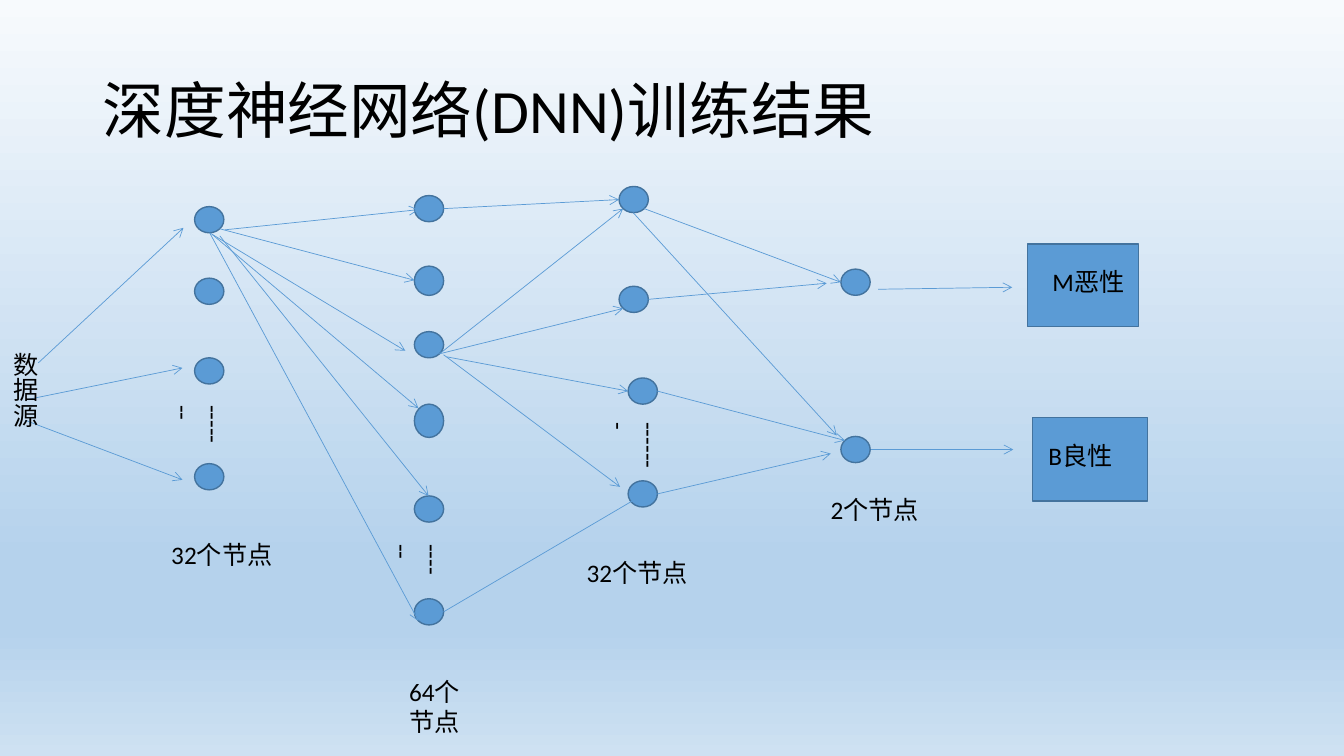
from copy import deepcopy
from dataclasses import dataclass
from typing import NamedTuple

from lxml.etree import SubElement
from pptx import Presentation
from pptx.dml.color import RGBColor
from pptx.enum.shapes import MSO_CONNECTOR, MSO_SHAPE
from pptx.enum.text import MSO_ANCHOR, MSO_AUTO_SIZE, PP_ALIGN
from pptx.oxml.ns import qn
from pptx.slide import Slide
from pptx.text.text import TextFrame
from pptx.util import Inches, Pt


@dataclass(frozen=True)
class Theme:
    """Colours, font and sizes used on the slide."""
    fill: RGBColor = RGBColor(0x5B, 0x9B, 0xD5)
    outline: RGBColor = RGBColor(0x43, 0x73, 0x9E)
    text: RGBColor = RGBColor(0, 0, 0)
    font: str = "Calibri"
    title_size: int = 44
    body_size: int = 18
    outline_width: float = 1
    arrow_width: float = 0.5
    background: tuple = ((0, "F7FAFD"), (0.74, "B5D2EC"),
                         (0.83, "B5D2EC"), (1, "CEE1F2"))


class Box(NamedTuple):
    """A rectangle in inches."""
    left: float
    top: float
    width: float
    height: float

    def lengths(self) -> tuple:
        """Return the rectangle as slide lengths."""
        return tuple(Inches(value) for value in self)


class Label(NamedTuple):
    """A text and its box."""
    text: str
    box: Box
    vertical: bool = False


class Edge(NamedTuple):
    """An arrow between two points in inches."""
    start_x: float
    start_y: float
    end_x: float
    end_y: float


THEME = Theme()
NODE_WIDTH, NODE_HEIGHT = 0.29, 0.26
TALL_NODES = {(4.11, 2.64): 0.29, (4.11, 4.01): 0.33}
# Left edge of a column of nodes, and the tops of its nodes
NODE_COLUMNS = (
    (1.93, (2.05, 2.76, 3.55, 4.6)),
    (4.11, (1.94, 2.64, 3.29, 4.01, 4.92, 5.94)),
    (6.14, (1.85, 2.84)),
    (6.23, (3.75, 4.77)),
    (8.34, (2.67, 4.33)),
)
INPUT_EDGES = (
    Edge(0.38, 3.6, 1.82, 2.26), Edge(0.29, 3.96, 1.81, 3.65),
    Edge(0.25, 4.17, 1.81, 4.76),
)
FIRST_EDGES = (
    Edge(2.23, 2.28, 4.15, 2.08), Edge(2.18, 2.27, 4.11, 2.78),
    Edge(2.08, 2.31, 4.02, 3.48), Edge(2.11, 2.33, 4.15, 4.05),
    Edge(2.18, 2.34, 4.25, 4.92), Edge(2.08, 2.31, 4.15, 6.16),
)
SECOND_EDGES = (
    Edge(4.4, 2.07, 6.14, 1.98), Edge(4.36, 3.51, 6.18, 2.07),
    Edge(4.36, 3.51, 6.18, 3.06), Edge(4.43, 3.54, 6.23, 3.88),
    Edge(4.4, 3.52, 6.15, 4.83), Edge(4.4, 6.07, 6.39, 4.9),
)
THIRD_EDGES = (
    Edge(6.39, 2.07, 8.34, 2.8), Edge(6.28, 2.11, 8.3, 4.32),
    Edge(6.43, 2.97, 8.2, 2.81), Edge(6.52, 3.88, 8.38, 4.37),
    Edge(6.52, 4.9, 8.24, 4.5),
)
OUTPUT_EDGES = (Edge(8.71, 2.87, 10.04, 2.85), Edge(8.64, 4.46, 10.05, 4.46))
RESULT_BOXES = (Box(10.19, 2.42, 1.1, 0.82), Box(10.24, 4.14, 1.14, 0.83))
LABELS = (
    Label("32个节点", Box(1.6, 5.3, 1.25, 0.4)),
    Label("64个节点", Box(3.96, 6.66, 0.9, 0.7)),
    Label("32个节点", Box(5.72, 5.48, 1.43, 0.4)),
    Label("2个节点", Box(8.14, 4.86, 1.09, 0.4)),
    Label("M恶性", Box(10.34, 2.59, 0.95, 0.4)),
    Label("B良性", Box(10.3, 4.32, 1.04, 0.4)),
    Label("-------", Box(1.83, 3.92, 0.5, 0.64), True),
    Label("------", Box(4, 5.3, 0.5, 0.57), True),
    Label("-------", Box(6.15, 4.09, 0.5, 0.68), True),
    Label("数据源", Box(0, 3.4, 0.45, 1.3), True),
)


def paint_background(slide: Slide) -> None:
    """Fill the background with the vertical gradient."""
    fill = slide.background.fill
    fill.gradient()
    fill.gradient_angle = 270
    stop_list = slide.element.find(".//" + qn("a:gsLst"))
    while len(stop_list) < len(THEME.background):
        stop_list.append(deepcopy(stop_list[0]))
    for stop, (position, colour) in zip(fill.gradient_stops, THEME.background):
        stop.position = position
        stop.color.rgb = RGBColor.from_string(colour)


def write(frame: TextFrame, text: str, size: int) -> None:
    """Set a one-paragraph text and format it."""
    frame.text = text
    frame.word_wrap = True
    for span in frame.paragraphs[0].runs:
        span.font.name = THEME.font
        span.font.size = Pt(size)
        span.font.color.rgb = THEME.text


def add_title(slide: Slide, text: str, box: Box) -> None:
    """Place and format the title placeholder."""
    title = slide.shapes.title
    title.left, title.top, title.width, title.height = box.lengths()
    frame = title.text_frame
    write(frame, text, THEME.title_size)
    frame.auto_size = MSO_AUTO_SIZE.NONE
    frame.vertical_anchor = MSO_ANCHOR.MIDDLE
    frame.paragraphs[0].alignment = PP_ALIGN.LEFT
    frame.paragraphs[0].line_spacing = 0.9


def add_solid(slide: Slide, kind: MSO_SHAPE, box: Box) -> None:
    """Draw a filled and outlined preset shape."""
    shape = slide.shapes.add_shape(kind, *box.lengths())
    shape.shadow.inherit = False
    shape.fill.solid()
    shape.fill.fore_color.rgb = THEME.fill
    shape.line.color.rgb = THEME.outline
    shape.line.width = Pt(THEME.outline_width)


def add_arrow(slide: Slide, edge: Edge) -> None:
    """Draw a thin arrow along an edge."""
    arrow = slide.shapes.add_connector(
        MSO_CONNECTOR.STRAIGHT, *(Inches(value) for value in edge))
    arrow.line.color.rgb = THEME.fill
    arrow.line.width = Pt(THEME.arrow_width)
    properties = arrow.element.spPr
    SubElement(properties.find(qn("a:ln")), qn("a:tailEnd"), type="arrow")
    SubElement(properties, qn("a:effectLst"))


def add_label(slide: Slide, label: Label) -> None:
    """Add a text box, upright or in vertical writing."""
    box = slide.shapes.add_textbox(*label.box.lengths())
    frame = box.text_frame
    write(frame, label.text, THEME.body_size)
    if label.vertical:
        frame.auto_size = MSO_AUTO_SIZE.NONE
        box.element.find(".//" + qn("a:bodyPr")).set("vert", "eaVert")
    else:
        frame.auto_size = MSO_AUTO_SIZE.SHAPE_TO_FIT_TEXT


def build() -> None:
    """Build and save the deck."""
    deck = Presentation()
    deck.slide_width, deck.slide_height = Inches(13.33), Inches(7.5)
    slide = deck.slides.add_slide(deck.slide_layouts[5])
    paint_background(slide)
    add_title(slide, "深度神经网络(DNN)训练结果", Box(0.92, 0.4, 11.5, 1.45))
    for left, tops in NODE_COLUMNS:
        for top in tops:
            height = TALL_NODES.get((left, top), NODE_HEIGHT)
            add_solid(slide, MSO_SHAPE.OVAL, Box(left, top, NODE_WIDTH, height))
    for edges in (INPUT_EDGES, FIRST_EDGES, SECOND_EDGES, THIRD_EDGES, OUTPUT_EDGES):
        for edge in edges:
            add_arrow(slide, edge)
    for box in RESULT_BOXES:
        add_solid(slide, MSO_SHAPE.RECTANGLE, box)
    for label in LABELS:
        add_label(slide, label)
    deck.save("out.pptx")


build()
